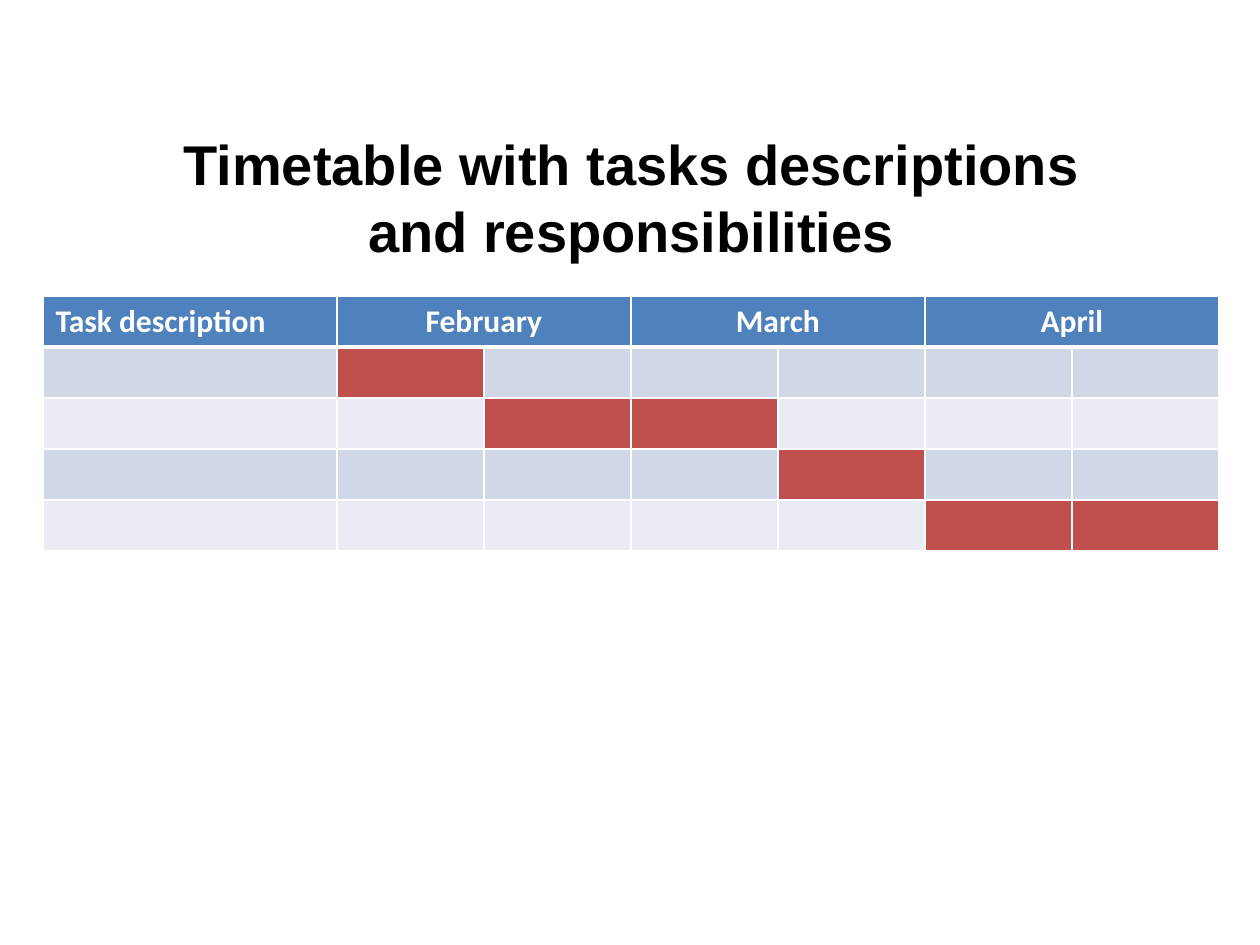
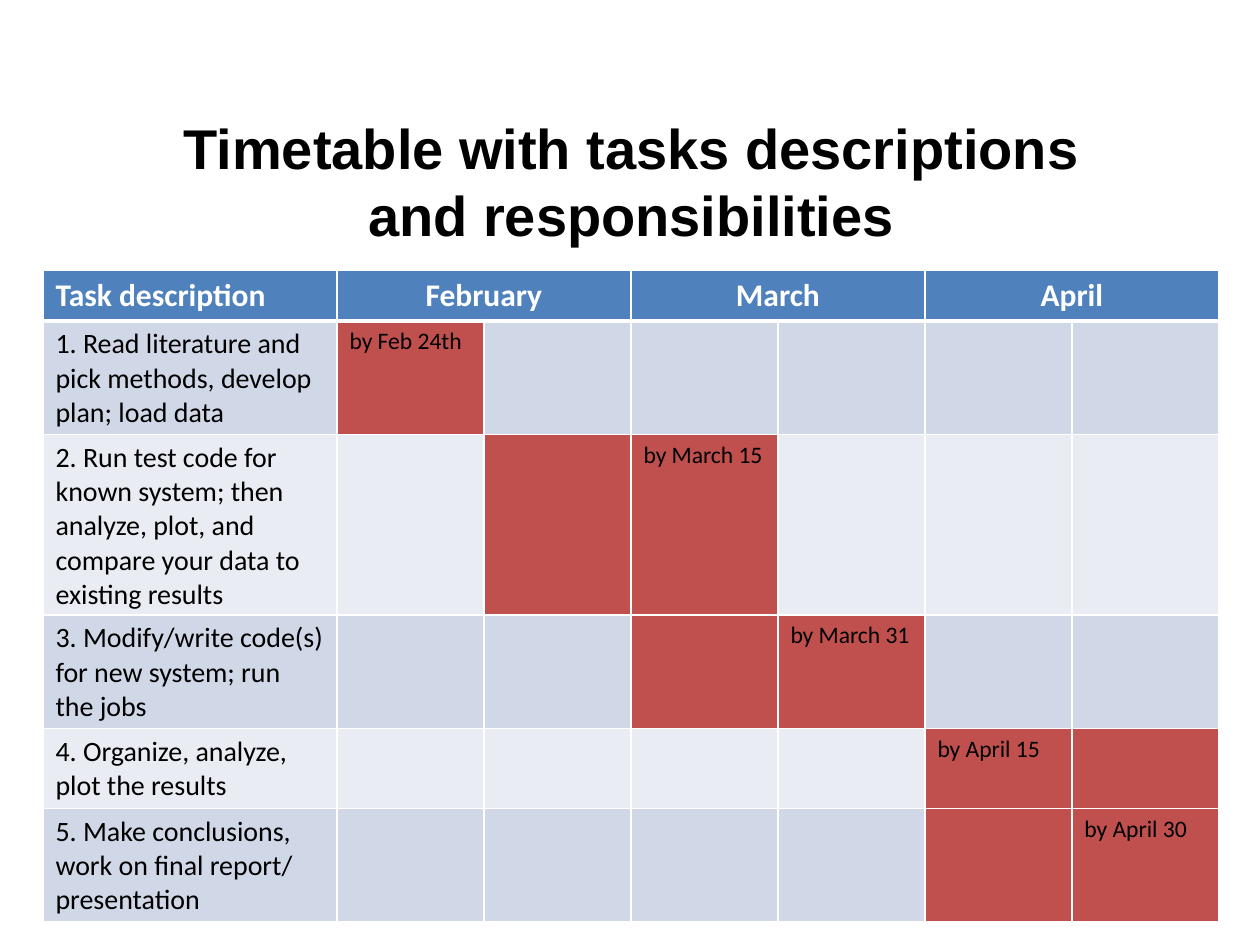
from collections import namedtuple
from dataclasses import dataclass

from lxml.etree import SubElement as add_node
from pptx import Presentation
from pptx.dml.color import RGBColor as Rgb
from pptx.enum.text import MSO_ANCHOR as Anchor, MSO_AUTO_SIZE as Fit, PP_ALIGN as Align
from pptx.oxml.ns import qn
from pptx.util import Pt


# Colours, fonts and type sizes
@dataclass(frozen=True)
class Theme:
    black: str = "000000"
    white: str = "FFFFFF"
    head: str = "4F81BD"
    bands: tuple = ("D0D8E7", "E9ECF3")
    busy: str = "C0504D"
    title_font: str = "Arial"
    body_font: str = "Calibri"
    title_size: float = 32
    head_size: float = 18
    task_size: float = 16
    due_size: float = 13.5
    thin: float = 0.96
    thick: float = 3


THEME = Theme()
DPI = 126
LEFT = 43
TASK_W = 294
HALF_W = 147
MONTHS = ("February", "March", "April")
TITLE = "Timetable with tasks descriptions\nand responsibilities"

# A task is busy from the first to the last half month; due is a column
Task = namedtuple("Task", "name first last due note", defaults=(None, ""))

BLANK = [Task("", 1, 1), Task("", 2, 3), Task("", 4, 4), Task("", 5, 6)]
PLAN = [
    Task("1. Read literature and pick methods, develop plan; load data",
         1, 1, 1, "by Feb 24th"),
    Task("2. Run test code for known system; then analyze, plot, and "
         "compare your data to existing results", 2, 3, 3, "by March 15"),
    Task("3. Modify/write code(s) for new system; run the jobs",
         3, 4, 4, "by March 31"),
    Task("4. Organize, analyze, plot the results", 5, 6, 5, "by April 15"),
    Task("5. Make conclusions, work on final report/ presentation",
         5, 6, 6, "by April 30"),
]


def px(count):
    return round(count * 914400 / DPI)


def style(frame, font, size, color, bold=False, align=Align.LEFT):
    for para in frame.paragraphs:
        para.alignment = align
        for run in para.runs:
            run.font.name = font
            run.font.size = Pt(size)
            run.font.bold = bold
            run.font.color.rgb = Rgb.from_string(color)


# Title
def set_title(slide, top):
    title = slide.shapes.title
    title.left, title.top = px(164), px(top)
    title.width, title.height = px(935), px(146)
    frame = title.text_frame
    frame.text = TITLE
    frame.word_wrap = False
    frame.auto_size = Fit.SHAPE_TO_FIT_TEXT
    frame.vertical_anchor = Anchor.TOP
    style(frame, THEME.title_font, THEME.title_size, THEME.black, True, Align.CENTER)


# Table cells
def set_edges(cell, top, bottom):
    props = cell._tc.get_or_add_tcPr()
    widths = {"L": THEME.thin, "R": THEME.thin, "T": top, "B": bottom}
    for side, width in widths.items():
        line = add_node(props, qn(f"a:ln{side}"), w=str(Pt(width)))
        fill = add_node(line, qn("a:solidFill"))
        add_node(fill, qn("a:srgbClr"), val=THEME.white)


def paint(cell, color, top=THEME.thin, bottom=THEME.thin):
    set_edges(cell, top, bottom)
    cell.fill.solid()
    cell.fill.fore_color.rgb = Rgb.from_string(color)


def write(cell, text, size, color=THEME.black, bold=False, align=Align.LEFT):
    if text:
        cell.text_frame.text = text
        style(cell.text_frame, THEME.body_font, size, color, bold, align)


# Table rows
def fill_head(table):
    for cell in table.rows[0].cells:
        paint(cell, THEME.head, bottom=THEME.thick)
    write(table.cell(0, 0), "Task description", THEME.head_size, THEME.white, True)
    for i, month in enumerate(MONTHS):
        col = 1 + 2 * i
        cell = table.cell(0, col)
        cell.merge(table.cell(0, col + 1))
        write(cell, month, THEME.head_size, THEME.white, True, Align.CENTER)


def fill_task(table, row, task):
    band = THEME.bands[(row - 1) % 2]
    top = THEME.thick if row == 1 else THEME.thin
    for col, cell in enumerate(table.rows[row].cells):
        busy = task.first <= col <= task.last
        paint(cell, THEME.busy if busy else band, top)
        if col == task.due:
            write(cell, task.note, THEME.due_size)
    write(table.cell(row, 0), task.name, THEME.task_size)


def add_plan(slide, top, heights, tasks):
    widths = [TASK_W] + [HALF_W] * (2 * len(MONTHS))
    table = slide.shapes.add_table(
        len(heights), len(widths), px(LEFT), px(top),
        px(sum(widths)), px(sum(heights))).table
    table.first_row = table.horz_banding = False
    for col, width in zip(table.columns, widths):
        col.width = px(width)
    for row, height in zip(table.rows, heights):
        row.height = px(height)
    fill_head(table)
    for row, task in enumerate(tasks, 1):
        fill_task(table, row, task)


def add_page(deck, title_top, plan_top, heights, tasks):
    slide = deck.slides.add_slide(deck.slide_layouts.get_by_name("Title Only"))
    set_title(slide, title_top)
    add_plan(slide, plan_top, heights, tasks)


def main():
    deck = Presentation()
    deck.slide_width, deck.slide_height = px(1260), px(945)
    add_page(deck, 123, 296, [51] * 5, BLANK)
    add_page(deck, 107, 270, [51, 113, 180, 113, 80, 113], PLAN)
    deck.save("out.pptx")


if __name__ == "__main__":
    main()
